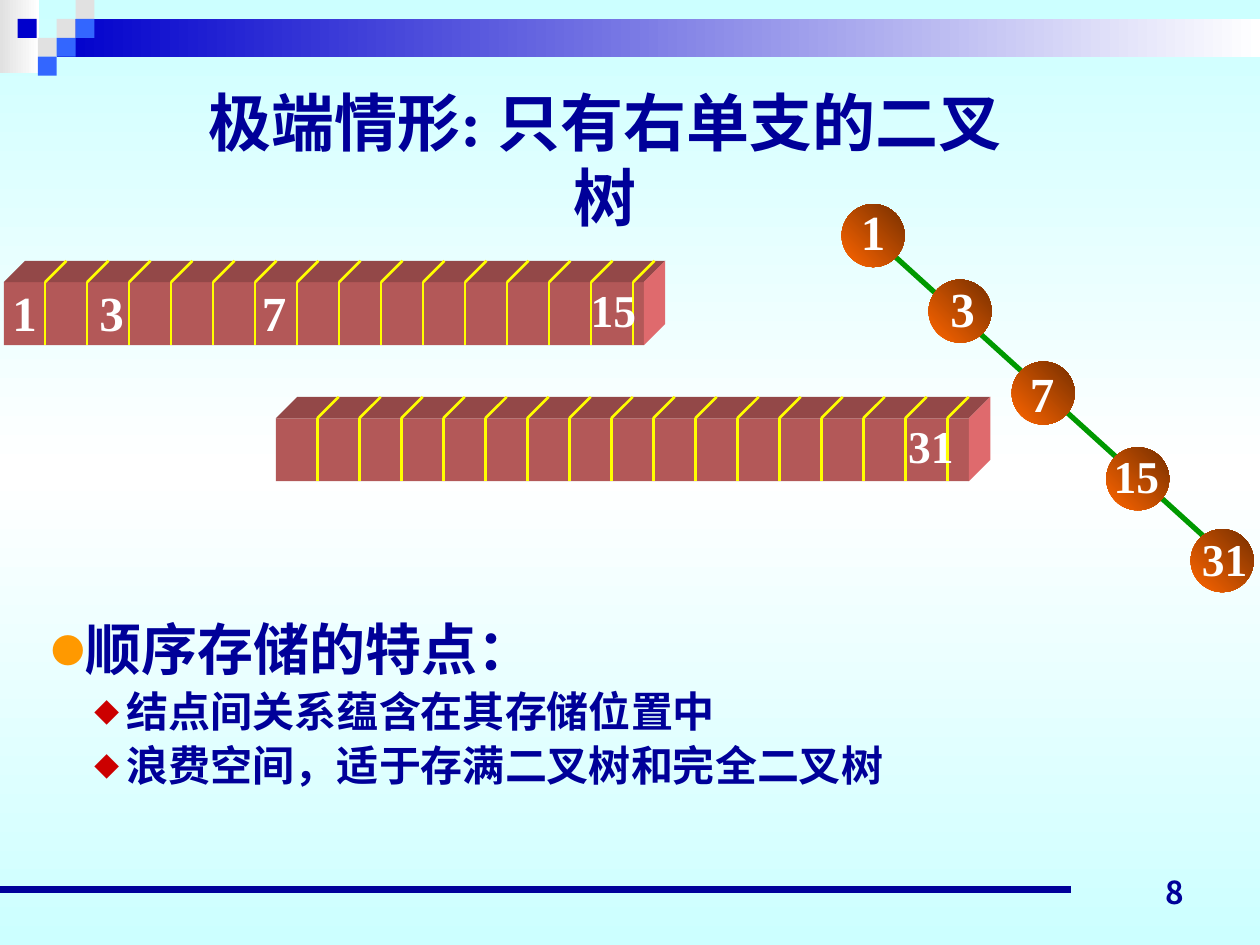
from copy import deepcopy
from lxml import etree
from pptx import Presentation
from pptx import util as u
from pptx.dml.color import RGBColor
from pptx.enum import shapes, text
from pptx.oxml import ns

BOX = shapes.MSO_SHAPE.RECTANGLE
OVAL = shapes.MSO_SHAPE.OVAL
MID, LOW = text.MSO_ANCHOR.MIDDLE, text.MSO_ANCHOR.BOTTOM
LEFT, MAIN, RIGHT = text.PP_ALIGN.LEFT, text.PP_ALIGN.CENTER, text.PP_ALIGN.RIGHT


class Theme:
    navy, blue, sky, gray = "000099", "0000CC", "3366FF", "E1E1E1"
    white, ice, green, yellow = "FFFFFF", "CCFFFF", "009900", "FFFF00"
    front, top, side = "B35858", "934848", "DF6A6D"
    orange, brown, dot, gem = "FF6600", "762F00", "FF9900", "CC0000"
    serif, sans, cjk = "Times New Roman", "Arial", "Noto Sans CJK SC"
    title, head, item, one, two, page = 36, 32, 24, 28, 26, 18


class Deck:
    def __init__(self, wide, high):
        self.prs = Presentation()
        self.prs.slide_width, self.prs.slide_height = u.Inches(wide), u.Inches(high)
        self.slide = self.prs.slides.add_slide(self.prs.slide_layouts[6])
        self.items = self.slide.shapes

    def paint(self, fill, tones, turn=0):
        if isinstance(tones, str):
            fill.solid()
            fill.fore_color.rgb = RGBColor.from_string(tones)
            return
        fill.gradient()
        fill.gradient_angle = turn
        first = fill.gradient_stops[0].color
        first.rgb = RGBColor.from_string(tones[0])
        stops = fill._fill._gradFill.find(ns.qn("a:gsLst"))
        base = stops[0]
        for stop in list(stops):
            stops.remove(stop)
        for i, tone in enumerate(tones):
            stop = deepcopy(base)
            stop.set("pos", str(100000 * i // (len(tones) - 1)))
            stop[0].set("val", tone)
            stops.append(stop)

    def finish(self, form, tones, turn):
        self.paint(form.fill, tones, turn)
        form.line.fill.background()
        form.shadow.inherit = False

    def shape(self, kind, x, y, w, h, tones, turn=0):
        form = self.items.add_shape(kind, *map(u.Inches, (x, y, w, h)))
        self.finish(form, tones, turn)

    def face(self, spots, tone):
        spots = [tuple(map(u.Inches, spot)) for spot in spots]
        pen = self.items.build_freeform(*spots[0])
        pen.add_line_segments(spots[1:], close=True)
        self.finish(pen.convert_to_shape(), tone, 0)

    def line(self, x, y, to_x, to_y, tone, size):
        rule = self.items.add_connector(
            shapes.MSO_CONNECTOR.STRAIGHT, *map(u.Inches, (x, y, to_x, to_y)))
        rule.line.color.rgb = RGBColor.from_string(tone)
        rule.line.width = u.Pt(size)
        etree.SubElement(rule._element.spPr, ns.qn("a:effectLst"))

    def frame(self, x, y, w, h, wrap=False, anchor=MID):
        body = self.items.add_textbox(*map(u.Inches, (x, y, w, h))).text_frame
        for name, value in dict(word_wrap=wrap, vertical_anchor=anchor).items():
            setattr(body, name, value)
        return body

    def put(self, para, words, size, tone, face, align=LEFT):
        para.alignment = align
        run = para.add_run()
        run.text = words
        style = dict(size=u.Pt(size), bold=True, name=face)
        for name, value in style.items():
            setattr(run.font, name, value)
        run.font.color.rgb = RGBColor.from_string(tone)
        east = etree.SubElement(run._r.rPr, ns.qn("a:ea"))
        east.set("typeface", Theme.cjk)

    def label(self, words, spot, size, tone, face, align=LEFT, **form):
        body = self.frame(*spot, **form)
        self.put(body.paragraphs[0], words, size, tone, face, align)

    def number(self, value, x, y, align=LEFT):
        if value < 10:
            spot, size = (x, y, 0.4, 0.57), Theme.one
        else:
            spot, size = (x, y, 0.56, 0.53), Theme.two
        self.label(str(value), spot, size, Theme.white, Theme.serif, align)

    def bullet(self, para, mark, tone, left, hang, scale):
        props = para._p.get_or_add_pPr()
        props.set("marL", str(u.Inches(left)))
        props.set("indent", str(-u.Inches(hang)))
        color = etree.SubElement(props, ns.qn("a:buClr"))
        etree.SubElement(color, ns.qn("a:srgbClr")).set("val", tone)
        for tag, key, value in (("a:buSzPct", "val", str(scale * 1000)),
                                ("a:buFont", "typeface", Theme.cjk),
                                ("a:buChar", "char", mark)):
            etree.SubElement(props, ns.qn(tag)).set(key, value)

    def bar(self, x, y, cells, wide):
        high, deep, step = 0.5, 0.17, 1 / 3
        end, base = x + wide, y + high
        self.shape(BOX, x, y, wide, high, Theme.front)
        self.face([(x, y), (x + deep, y - deep), (end + deep, y - deep), (end, y)],
                  Theme.top)
        self.face([(end, y), (end + deep, y - deep), (end + deep, base - deep),
                   (end, base)], Theme.side)
        for i in range(1, cells + 1):
            cut = x + i * step - 0.005
            self.line(cut, y, cut, base, Theme.yellow, 1.5)
            self.line(cut, y, cut + deep, y - deep, Theme.yellow, 1.5)


deck = Deck(10, 7.5)
deck.paint(deck.slide.background.fill, (Theme.ice, Theme.white, Theme.ice), 270)

deck.shape(BOX, 0, 0, 0.31, 0.58, (Theme.gray, Theme.white))
deck.shape(BOX, 0.45, 0.15, 9.55, 0.3, (Theme.blue, Theme.white))
tiles = [(0.45, 0.15, Theme.gray), (0.6, 0, Theme.gray), (0.6, 0.15, Theme.sky),
         (0.3, 0.3, Theme.gray), (0.14, 0.15, Theme.blue),
         (0.45, 0.3, Theme.sky), (0.3, 0.45, Theme.sky)]
for x, y, tone in tiles:
    deck.shape(BOX, x, y, 0.15, 0.15, tone)
deck.line(0, 7.06, 8.5, 7.06, Theme.navy, 4.5)
deck.label("8", (7.17, 6.78, 2.33, 0.5), Theme.page, Theme.navy,
           "Noto Sans CJK JP", RIGHT, wrap=True, anchor=LOW)

deck.line(7.03, 1.97, 9.7, 4.39, Theme.green, 3)
nodes = [(1, 6.68, 1.62, 6.73, 1.55), (3, 7.37, 2.22, 7.44, 2.16),
         (7, 8.03, 2.87, 8.07, 2.83), (15, 8.78, 3.55, 8.74, 3.51),
         (31, 9.45, 4.2, 9.44, 4.17)]
for value, x, y, left, top in nodes:
    deck.shape(OVAL, x, y, 0.5, 0.5, (Theme.orange, Theme.brown), 45)
    deck.number(value, left, top, MAIN)

deck.label("极端情形: 只有右单支的二叉树", (1.39, 0.91, 6.82, 0.7), Theme.title,
           Theme.navy, Theme.serif, MAIN, wrap=True)

deck.bar(2.19, 3.32, 16, 5.5)
deck.bar(0.03, 2.24, 15, 5.08)
for value, x, y in [(1, 0, 2.19), (3, 0.69, 2.19), (7, 1.98, 2.19),
                    (15, 4.59, 2.19), (31, 7.11, 3.27)]:
    deck.number(value, x, y)

notes = deck.frame(0.31, 4.89, 8.56, 1.46, wrap=True, anchor=text.MSO_ANCHOR.TOP)
gem = ("◆", Theme.gem, 0.6, 0.26, 60)
rows = [("顺序存储的特点：", Theme.head, Theme.sans,
         ("●", Theme.dot, 0.27, 0.27, 60)),
        ("结点间关系蕴含在其存储位置中", Theme.item, Theme.cjk, gem),
        ("浪费空间，适于存满二叉树和完全二叉树", Theme.item, Theme.cjk, gem)]
for i, (words, size, face, mark) in enumerate(rows):
    para = notes.add_paragraph() if i else notes.paragraphs[0]
    para.line_spacing, para.space_before = 0.9, u.Pt(size * 0.2)
    deck.put(para, words, size, Theme.navy, face)
    deck.bullet(para, *mark)

deck.prs.save("out.pptx")
